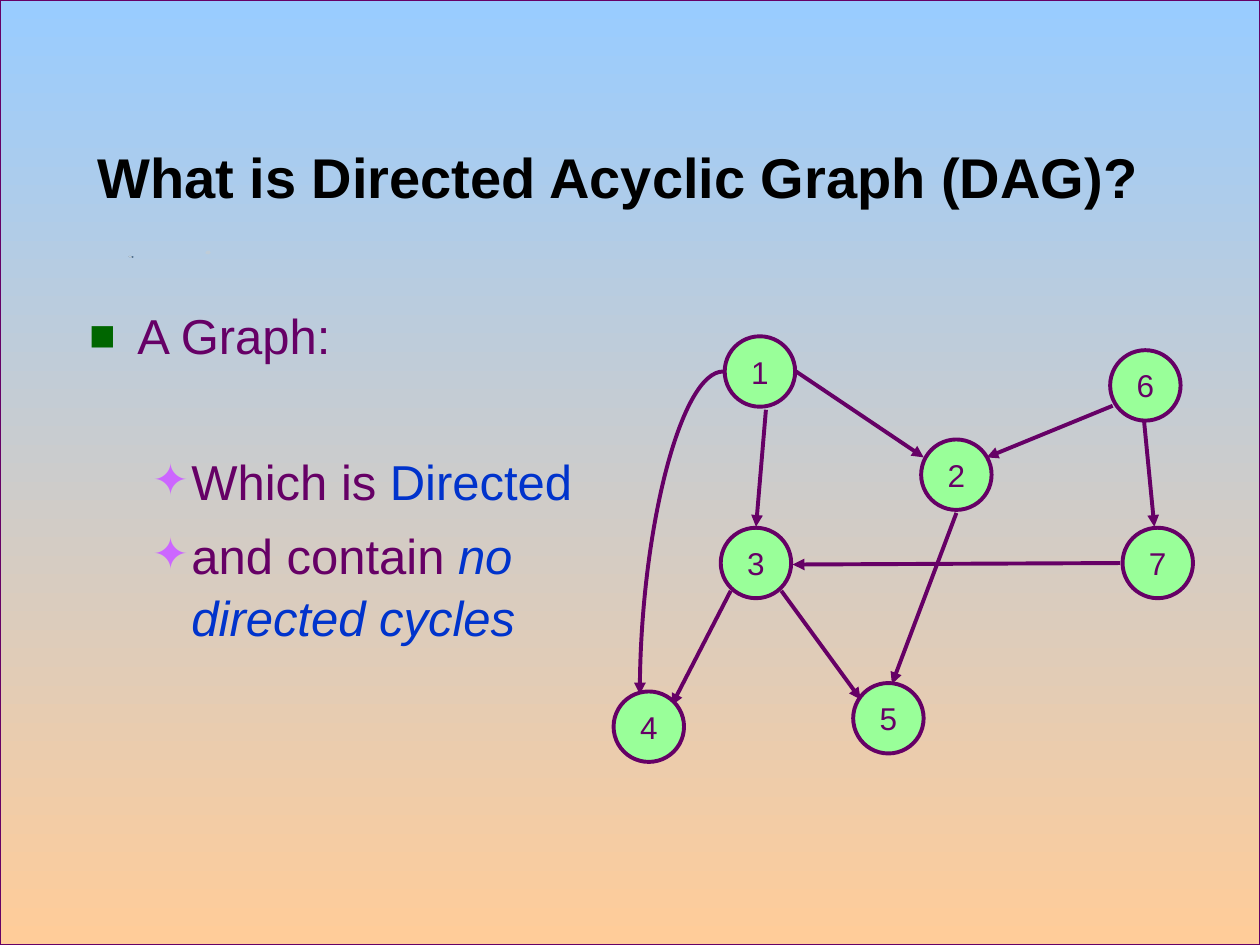
from dataclasses import dataclass
from typing import Any

from lxml import etree
from pptx import Presentation
from pptx import util as u
from pptx.dml.color import RGBColor
from pptx.enum import shapes, text
from pptx.oxml.ns import qn

PURPLE = RGBColor(0x66, 0x00, 0x66)
BLACK = RGBColor(0x00, 0x00, 0x00)
BLUE = RGBColor(0x00, 0x33, 0xCC)
GREEN = RGBColor(0x99, 0xFF, 0x99)
DARK_GREEN = RGBColor(0x00, 0x66, 0x00)
VIOLET = RGBColor(0xCC, 0x66, 0xFF)
SKY = RGBColor(0x99, 0xCC, 0xFF)
PEACH = RGBColor(0xFF, 0xCC, 0x99)
SLATE = RGBColor(0x28, 0x4C, 0x70)
MIST = RGBColor(0xBF, 0xCC, 0xD8)

NODE_SIZE = 1.42
NODES = {
    "1": (14.61, 6.78), "2": (18.57, 8.86), "3": (14.53, 10.64),
    "4": (12.37, 13.94), "5": (17.2, 13.77), "6": (22.38, 7.06),
    "7": (22.63, 10.64),
}
EDGES = [
    ((15.44, 8.26), (15.24, 10.62)),
    ((16.05, 7.49), (18.62, 9.22)),
    ((22.43, 8.18), (19.89, 9.22)),
    ((23.06, 8.46), (23.27, 10.62)),
    ((22.58, 11.35), (15.98, 11.38)),
    ((19.28, 10.34), (17.98, 13.79)),
    ((15.75, 11.91), (17.35, 14.1)),
    ((14.73, 11.91), (13.54, 14.22)),
]
SPECKS = [
    (SLATE, [(2.59, 5.17), (2.62, 5.16), (2.69, 5.17), (2.69, 5.19), (2.66, 5.2), (2.6, 5.18)]),
    (MIST, [(2.59, 5.17), (2.62, 5.16), (2.66, 5.17), (2.67, 5.19), (2.64, 5.2), (2.59, 5.18)]),
    (MIST, [(4.14, 5.1), (4.17, 5.06), (4.22, 5.05), (4.25, 5.1), (4.21, 5.13), (4.16, 5.12)]),
]


def set_all(target, values):
    for name, value in values.items():
        setattr(target, name, value)


def add_xml(parent, tag, **attributes):
    return etree.SubElement(parent, qn(tag), attributes)


@dataclass
class SlideBuilder:
    page: Any
    font: str = "Arial"
    ink: RGBColor = PURPLE
    thick: float = 2.25

    def outline(self, line, width):
        line.color.rgb = self.ink
        line.width = u.Pt(width)

    def span(self, para, words, size, color, bold=False, italic=False):
        span = para.add_run()
        span.text = words
        set_all(span.font, {"name": self.font, "size": u.Pt(size), "bold": bold, "italic": italic})
        span.font.color.rgb = color

    def backdrop(self, width, height):
        panel = self.page.shapes.add_shape(shapes.MSO_SHAPE.RECTANGLE, 0, 0, width, height)
        panel.shadow.inherit = False
        panel.fill.gradient()
        panel.fill.gradient_angle = 270
        for stop, color, position in zip(panel.fill.gradient_stops, (SKY, PEACH), (0, 1)):
            stop.color.rgb = color
            stop.position = position
        self.outline(panel.line, 0.75)

    def speck(self, color, points):
        corners = [(u.Cm(x), u.Cm(y)) for x, y in points]
        builder = self.page.shapes.build_freeform(*corners[0])
        builder.add_line_segments(corners[1:], close=True)
        speck = builder.convert_to_shape()
        speck.shadow.inherit = False
        speck.fill.solid()
        speck.fill.fore_color.rgb = color
        speck.line.fill.background()

    def text_box(self, left, top, width, height, **frame_format):
        box = self.page.shapes.add_textbox(u.Cm(left), u.Cm(top), u.Cm(width), u.Cm(height))
        set_all(box.text_frame, {"word_wrap": True, **frame_format})
        return box.text_frame

    def title(self, words):
        frame = self.text_box(1.4, 2.39, 22.12, 2.34, vertical_anchor=text.MSO_ANCHOR.MIDDLE)
        para = frame.paragraphs[0]
        para.alignment = text.PP_ALIGN.CENTER
        self.span(para, words, 32, BLACK, bold=True)

    def bullet(self, para, spans, mark, color, margin, hang, before=7, level=0):
        """Fill a paragraph with (words, color, italic) spans behind a coloured mark."""
        set_all(para, {"space_before": u.Pt(before), "line_spacing": 1.05, "level": level})
        properties = para._p.get_or_add_pPr()
        properties.set("marL", str(u.Cm(margin)))
        properties.set("indent", str(-u.Cm(hang)))
        add_xml(add_xml(properties, "a:buClr"), "a:srgbClr", val=str(color))
        add_xml(properties, "a:buSzPct", val="90000")
        add_xml(properties, "a:buFont", typeface=self.font)
        add_xml(properties, "a:buChar", char=mark)
        for words, ink, italic in spans:
            self.span(para, words, 28, ink, italic=italic)

    def arrow(self, start, end, curved=False):
        kind = shapes.MSO_CONNECTOR.CURVE if curved else shapes.MSO_CONNECTOR.STRAIGHT
        arrow = self.page.shapes.add_connector(kind, *(u.Cm(v) for v in (*start, *end)))
        self.outline(arrow.line, self.thick)
        properties = arrow._element.spPr
        if curved:
            properties.find(qn("a:prstGeom")).set("prst", "curvedConnector2")
        add_xml(properties.find(qn("a:ln")), "a:tailEnd", type="triangle")
        add_xml(properties, "a:effectLst")

    def node(self, label, left, top):
        size = u.Cm(NODE_SIZE)
        node = self.page.shapes.add_shape(shapes.MSO_SHAPE.OVAL, u.Cm(left), u.Cm(top), size, size)
        node.shadow.inherit = False
        node.fill.solid()
        node.fill.fore_color.rgb = GREEN
        self.outline(node.line, self.thick)
        set_all(node.text_frame, {"word_wrap": False, "vertical_anchor": text.MSO_ANCHOR.MIDDLE})
        para = node.text_frame.paragraphs[0]
        para.alignment = text.PP_ALIGN.CENTER
        self.span(para, label, 18, self.ink)


def main():
    deck = Presentation()
    set_all(deck, {"slide_width": u.Cm(25.4), "slide_height": u.Cm(19.05)})
    slide = SlideBuilder(deck.slides.add_slide(deck.slide_layouts[6]))

    slide.backdrop(deck.slide_width, deck.slide_height)
    for color, points in SPECKS:
        slide.speck(color, points)
    slide.title("What is Directed Acyclic Graph (DAG)?")

    body = slide.text_box(1.55, 6.1, 11.13, 10.06, margin_top=0)
    slide.bullet(body.paragraphs[0], [("A Graph:", PURPLE, False)], "■", DARK_GREEN, 0.97, 0.97)
    traits = [
        (48, [("Which is ", PURPLE, False), ("Directed", BLUE, False)]),
        (7, [("and contain ", PURPLE, False), ("no directed cycles", BLUE, True)]),
    ]
    for before, spans in traits:
        slide.bullet(body.add_paragraph(), spans, "✦", VIOLET, 2.06, 0.79, before, level=1)

    for start, end in EDGES:
        slide.arrow(start, end)
    slide.arrow((14.58, 7.49), (12.9, 14), curved=True)
    for label, (left, top) in NODES.items():
        slide.node(label, left, top)

    deck.save("out.pptx")


if __name__ == "__main__":
    main()
